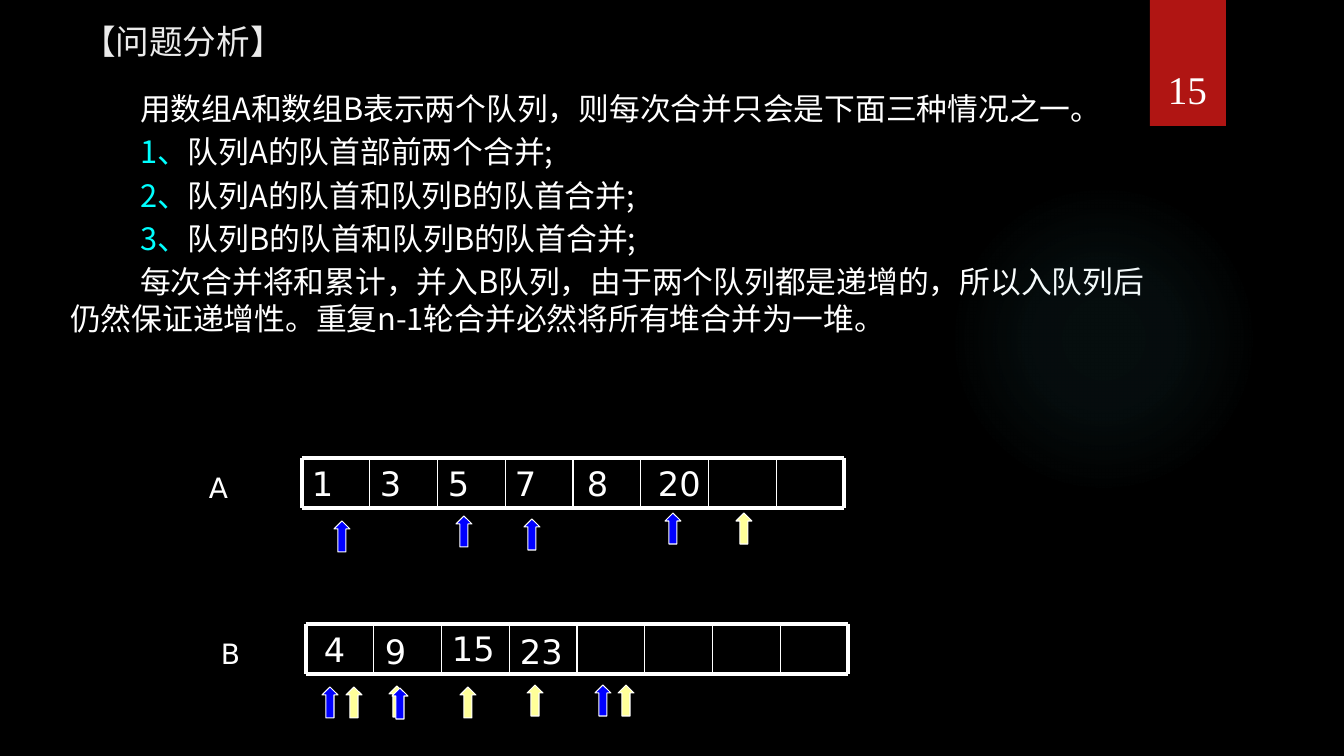
from pptx import Presentation
from pptx.dml.color import RGBColor
from pptx.enum.shapes import MSO_CONNECTOR, MSO_SHAPE
from pptx.enum.text import MSO_ANCHOR, PP_ALIGN
from pptx.oxml import parse_xml
from pptx.oxml.ns import nsdecls
from pptx.util import Pt
from lxml.etree import SubElement

BLACK = RGBColor(0x00, 0x00, 0x00)
WHITE = RGBColor(0xFF, 0xFF, 0xFF)
PALE = RGBColor(0xEB, 0xEB, 0xEB)
CYAN = RGBColor(0x00, 0xFF, 0xFF)
RED = RGBColor(0xB0, 0x15, 0x13)
BLUE = RGBColor(0x00, 0x00, 0xFF)
YELLOW = RGBColor(0xFF, 0xFF, 0x99)
CJK_FONT, DIGIT_FONT, NUMBER_FONT = "Noto Sans CJK SC", "DejaVu Sans", "Times New Roman"

TITLE = "【问题分析】"
PAGE = "15"
BODY = [
    ("", "用数组A和数组B表示两个队列，则每次合并只会是下面三种情况之一。"),
    ("1、", "队列A的队首部前两个合并;"),
    ("2、", "队列A的队首和队列B的队首合并;"),
    ("3、", "队列B的队首和队列B的队首合并;"),
    ("", "每次合并将和累计，并入B队列，由于两个队列都是递增的，所以入队列后仍然保证递增性。"
         "重复n-1轮合并必然将所有堆合并为一堆。"),
]
QUEUES = [
    {"label": ("A", 199, 466), "corner": (302, 458),
     "values": [("1", 302, 458), ("3", 370, 458), ("5", 438, 458),
                ("7", 505, 458), ("8", 577, 458), ("20", 648, 458)],
     "arrows": [(BLUE, 334, 521), (BLUE, 456, 516), (BLUE, 524, 519),
                (BLUE, 665, 513), (YELLOW, 736, 513)]},
    {"label": ("B", 211, 632), "corner": (306, 624),
     "values": [("4", 314, 624), ("9", 375, 626), ("15", 442, 623), ("23", 510, 626)],
     "arrows": [(BLUE, 322, 687), (YELLOW, 346, 687), (YELLOW, 389, 686),
                (BLUE, 392, 688), (YELLOW, 460, 687), (YELLOW, 527, 685),
                (BLUE, 595, 685), (YELLOW, 618, 685)]},
]
CELLS, ROW_WIDTH, ROW_HEIGHT = 8, 542, 50
GLOW_STOPS = [(0, 7), (36, 6), (69, 0)]


def px(*lengths):
    return [round(length * 914400 / 100.8) for length in lengths]


def style(run, size, font, color):
    run.font.size = Pt(size)
    run.font.name = font
    run.font.color.rgb = color
    properties = run.font._element
    properties.get_or_change_to_solidFill()
    east_asian = parse_xml(f'<a:ea {nsdecls("a")} typeface="{font}"/>')
    properties.find("{*}latin").addnext(east_asian)


def add_text(slide, text, box, size, font):
    shape = slide.shapes.add_textbox(*px(*box))
    shape.text_frame.word_wrap = True
    shape.text_frame.text = text
    style(shape.text_frame.paragraphs[0].runs[0], size, font, WHITE)
    return shape


def add_shape(slide, kind, box, color):
    shape = slide.shapes.add_shape(kind, *px(*box))
    shape.shadow.inherit = False
    shape.fill.solid()
    shape.fill.fore_color.rgb = color
    shape.line.fill.background()
    return shape


def add_line(slide, start, end, width):
    line = slide.shapes.add_connector(MSO_CONNECTOR.STRAIGHT, *px(*start, *end))
    line.line.color.rgb = WHITE
    line.line.width = Pt(width)
    SubElement(line._element.spPr, "{http://schemas.openxmlformats.org/drawingml/2006/main}effectLst")


def add_backdrop(slide):
    slide.background.fill.solid()
    slide.background.fill.fore_color.rgb = BLACK
    glow = add_shape(slide, MSO_SHAPE.OVAL, (949, 184, 310, 310), BLACK)
    stops = "".join(
        f'<a:gs pos="{place * 1000}"><a:srgbClr val="50B9C1"><a:alpha val="{alpha * 1000}"/></a:srgbClr></a:gs>'
        for place, alpha in GLOW_STOPS)
    gradient = parse_xml(
        f'<a:gradFill {nsdecls("a")}><a:gsLst>{stops}</a:gsLst><a:path path="circle">'
        '<a:fillToRect l="50000" t="50000" r="50000" b="50000"/></a:path></a:gradFill>')
    solid = glow._element.spPr.find("{*}solidFill")
    solid.getparent().replace(solid, gradient)
    add_shape(slide, MSO_SHAPE.RECTANGLE, (1150, 0, 76, 126), RED)
    number = add_text(slide, PAGE, (1141, 32, 93, 85), 28, NUMBER_FONT)
    number.text_frame.vertical_anchor = MSO_ANCHOR.BOTTOM
    number.text_frame.paragraphs[0].alignment = PP_ALIGN.CENTER


def place(shape, box):
    shape.left, shape.top, shape.width, shape.height = px(*box)
    shape.text_frame.vertical_anchor = MSO_ANCHOR.TOP


def fill_text(slide):
    title, body = slide.shapes.title, slide.placeholders[1]
    place(title, (72, 16, 392, 67))
    title.text_frame.text = TITLE
    title.text_frame.paragraphs[0].alignment = PP_ALIGN.LEFT
    style(title.text_frame.paragraphs[0].runs[0], 24, CJK_FONT, PALE)
    place(body, (60, 85, 1104, 264))
    frame = body.text_frame
    for index, (mark, text) in enumerate(BODY):
        paragraph = frame.add_paragraph() if index else frame.paragraphs[0]
        paragraph.space_before = Pt(4.4)
        paragraph.line_spacing = Pt(26.4)
        properties = paragraph._p.get_or_add_pPr()
        properties.set("marL", "0")
        properties.set("indent", str(px(70)[0]))
        properties.append(parse_xml(f'<a:buNone {nsdecls("a")}/>'))
        for part, color in ((mark, CYAN), (text, WHITE)):
            if part:
                run = paragraph.add_run()
                run.text = part
                style(run, 22, CJK_FONT, color)


def draw_queue(slide, queue):
    left, top = queue["corner"]
    right, bottom = left + ROW_WIDTH, top + ROW_HEIGHT
    for y in (top, bottom):
        add_line(slide, (left, y), (right, y), 2.25)
    for column in range(CELLS + 1):
        x = left + column * ROW_WIDTH / CELLS
        add_line(slide, (x, top), (x, bottom), 2.25 if column in (0, CELLS) else 1)
    label, x, y = queue["label"]
    add_text(slide, label, (x, y, 72, 44), 20, DIGIT_FONT)
    for value, x, y in queue["values"]:
        add_text(slide, value, (x, y, 68, 50), 24, DIGIT_FONT)
    for color, x, y in queue["arrows"]:
        arrow = add_shape(slide, MSO_SHAPE.UP_ARROW, (x, y, 16, 31), color)
        arrow.line.color.rgb = WHITE
        arrow.line.width = Pt(0.75)


def main():
    """Build the slide on merging two queues and save it."""
    presentation = Presentation()
    presentation.slide_width, presentation.slide_height = px(1344, 756)
    slide = presentation.slides.add_slide(presentation.slide_layouts[1])
    add_backdrop(slide)
    fill_text(slide)
    for queue in QUEUES:
        draw_queue(slide, queue)
    presentation.save("out.pptx")


if __name__ == "__main__":
    main()
